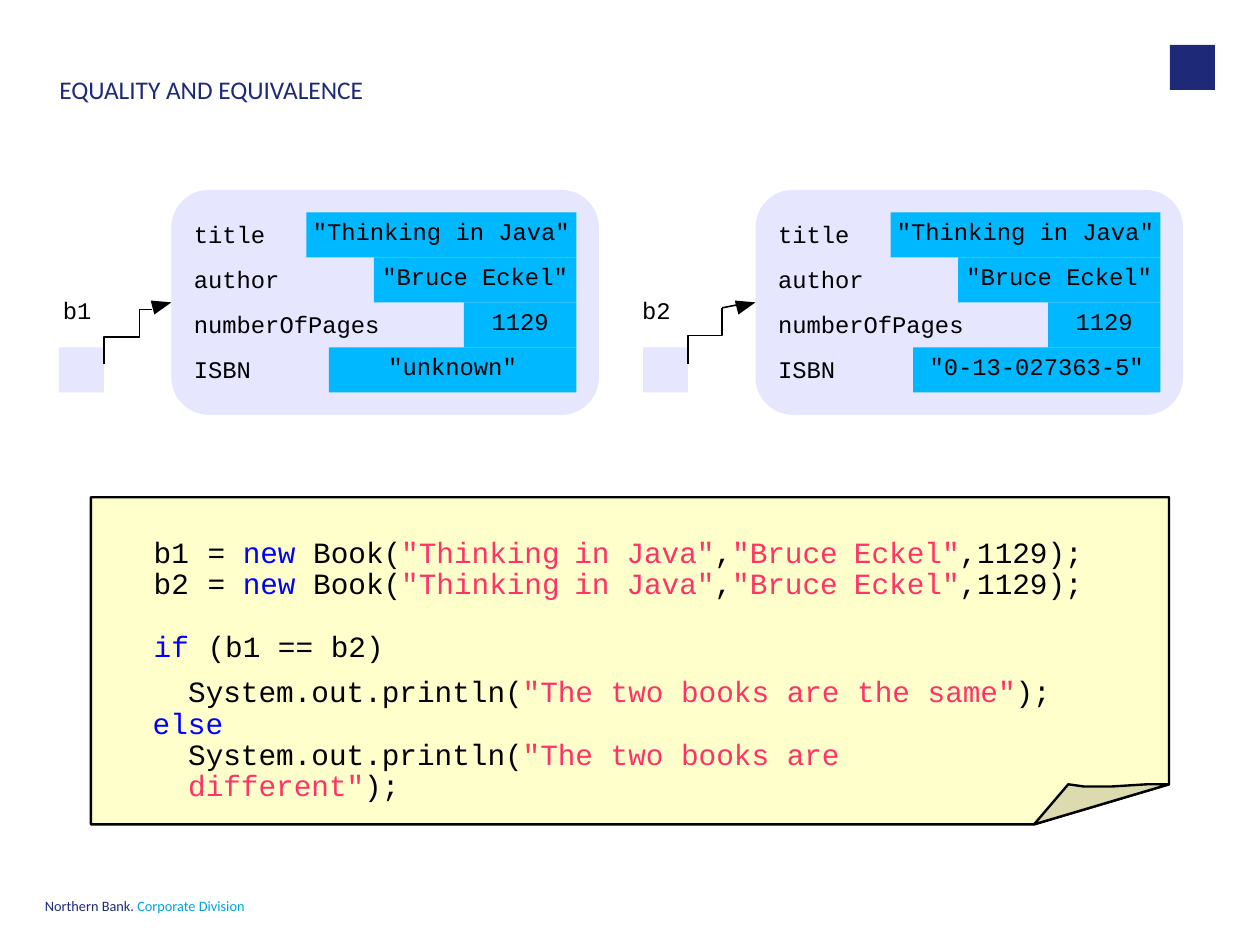
from lxml.etree import SubElement
from pptx import Presentation
from pptx.dml.color import RGBColor
from pptx.enum.shapes import MSO_CONNECTOR as LINK, MSO_SHAPE as SHAPE
from pptx.enum.text import MSO_ANCHOR as ANCHOR, MSO_AUTO_SIZE as FIT, PP_ALIGN as ALIGN
from pptx.oxml import parse_xml
from pptx.oxml.ns import nsdecls, qn
from pptx.util import Cm, Inches, Pt

COLUMNS, ROWS = 28, 21
NAVY, AQUA, LILAC, CYAN = "1E2A78", "00A3E0", "E6E6FF", "00B8FF"
BLACK, BLUE, RED = "000000", "0000FF", "FF3366"
PAPER, FOLD = "FFFFCC", "DBDBAF"
MONO, SANS = "Courier New", "Calibri"


def grid(*counts):
    """Turn counts of grid columns or rows, one centimetre each, into lengths."""
    return [Cm(count) for count in counts]


def color(hex_code):
    return RGBColor.from_string(hex_code)


def style(font, size, name, hex_code):
    font.size, font.name = Pt(size), name
    font.color.rgb = color(hex_code)


def add_spans(para, spans, size, name):
    for text, hex_code in spans:
        span = para.add_run()
        span.text = text
        style(span.font, size, name, hex_code)


def clear_frame(frame, top=0.0, wrap=False):
    frame.margin_left = frame.margin_right = frame.margin_bottom = 0
    frame.margin_top = Inches(top)
    frame.word_wrap, frame.auto_size = wrap, FIT.NONE
    frame.vertical_anchor = ANCHOR.TOP


def paint(shape, fill, line=None):
    shape.shadow.inherit = False
    shape.fill.solid()
    shape.fill.fore_color.rgb = color(fill)
    if line:
        shape.line.color.rgb = color(line)
        shape.line.width = Pt(1.5)
    else:
        shape.line.fill.background()
    return shape


def add_block(page, kind, box, fill):
    return paint(page.shapes.add_shape(kind, *grid(*box)), fill)


def add_outline(page, left, top, points, fill, line=None):
    corners = [grid(left + x, top + y) for x, y in points]
    builder = page.shapes.build_freeform(*corners[0], scale=1.0)
    builder.add_line_segments(corners[1:], close=True)
    return paint(builder.convert_to_shape(), fill, line)


def add_label(page, left, top, text):
    label = page.shapes.add_textbox(*grid(left, top, 4.2, 0.7))
    clear_frame(label.text_frame)
    label.text_frame.text = text
    style(label.text_frame.paragraphs[0].runs[0].font, 15, MONO, BLACK)


def add_link(page, kind, start, end):
    link = page.shapes.add_connector(kind, *grid(*start, *end))
    link.line.color.rgb = color(BLACK)
    link.line.width = Pt(1)
    SubElement(link._element.spPr, qn("a:effectLst"))
    return link


def add_upward_elbow(page, start, end):
    """Join two points with an elbow that leaves and arrives vertically."""
    (x1, y1), (x2, y2) = start, end
    middle_x, middle_y = (x1 + x2) / 2, (y1 + y2) / 2
    half_run, half_rise = (x2 - x1) / 2, (y1 - y2) / 2
    link = add_link(page, LINK.ELBOW,
                    (middle_x + half_rise, middle_y + half_run),
                    (middle_x - half_rise, middle_y - half_run))
    link._element.spPr.xfrm.set("rot", "5400000")


def add_book(page, left, top, name, name_left, isbn, arrow):
    """Draw a book object, its variable and the reference between them."""
    add_block(page, SHAPE.ROUNDED_RECTANGLE, (left, top, 9.5, 5), LILAC)
    fields = [("title", '"Thinking in Java"', 3), ("author", '"Bruce Eckel"', 4.5),
              ("numberOfPages", "1129", 6.5), ("ISBN", isbn, 3.5)]
    for row, (field, value, start) in enumerate(fields):
        y = top + 0.5 + row
        add_label(page, left + 0.5, y + 0.17, field)
        box = add_block(page, SHAPE.RECTANGLE, (left + start, y, 9 - start, 1), CYAN)
        clear_frame(box.text_frame, 0.04)
        box.text_frame.text = value
        para = box.text_frame.paragraphs[0]
        para.alignment = ALIGN.CENTER
        style(para.runs[0].font, 15, MONO, BLACK)
    add_label(page, left + name_left, top + 2.36, name)
    add_block(page, SHAPE.RECTANGLE, (left - 2.5, top + 3.5, 1, 1), LILAC)
    start, joint, end = [(left + x, top + y) for x, y in arrow]
    add_upward_elbow(page, start, joint)
    add_link(page, LINK.STRAIGHT, joint, end)
    add_outline(page, left, top, [(0, 2.5), (-0.46, 2.46), (-0.38, 2.77)], BLACK)


def clear_cell(cell, indent):
    cell.fill.background()
    cell.margin_left = Inches(indent)
    cell.margin_right = cell.margin_top = cell.margin_bottom = 0
    for place, side in enumerate("LRTB"):
        border = parse_xml(f'<a:ln{side} {nsdecls("a")} w="0"><a:noFill/></a:ln{side}>')
        cell._tc.get_or_add_tcPr().insert(place, border)


def add_code_table(page, left, top):
    columns, rows = (1.07, 8.16, 1.17, 5.06, 5.34), (0.69, 2.11)
    indents = (0.03, 0.08, 0, 0, 0.04)
    frame = page.shapes.add_table(len(rows), len(columns),
                                  *grid(left, top, sum(columns), sum(rows)))
    table = frame.table
    table.first_row = table.horz_banding = False
    for column, width in zip(table.columns, grid(*columns)):
        column.width = width
    for row, height in zip(table.rows, grid(*rows)):
        row.height = height
    condition = [[("if", BLUE)], [("(b1 == b2)", BLACK)]]
    for row, name in enumerate(("b1", "b2")):
        call = [[(name, BLACK)],
                [("= ", BLACK), ("new ", BLUE), ("Book(", BLACK), ('"Thinking', RED)],
                [("in", RED)],
                [('Java"', RED), (",", BLACK), ('"Bruce', RED)],
                [('Eckel"', RED), (",1129);", BLACK)]]
        for column, spans in enumerate(call):
            cell = table.cell(row, column)
            clear_cell(cell, indents[column])
            para = cell.text_frame.paragraphs[0]
            para.line_spacing = Pt(18.7)
            para.alignment = ALIGN.CENTER if column > 1 else ALIGN.LEFT
            add_spans(para, spans, 18.5, MONO)
            if row == 1 and column < len(condition):
                para = cell.text_frame.add_paragraph()
                para.line_spacing, para.space_before = Pt(22.1), Pt(17.6)
                add_spans(para, condition[column], 18.5, MONO)


def add_branches(page, left, top):
    box = page.shapes.add_textbox(*grid(left, top, 20.3, 2.8))
    frame = box.text_frame
    clear_frame(frame, 0.05, wrap=True)
    call = ("System.out.println(", BLACK)
    lines = [(0.32, [call, ('"The two books are the same"', RED), (");", BLACK)]),
             (0.01, [("else", BLUE)]),
             (0.32, [call, ('"The two books are different"', RED), (");", BLACK)])]
    for number, (indent, spans) in enumerate(lines):
        para = frame.add_paragraph() if number else frame.paragraphs[0]
        para._p.get_or_add_pPr().set("marL", str(Inches(indent)))
        para.line_spacing = Pt(19.7)
        add_spans(para, spans, 18.5, MONO)


def add_note(page, left, top, width, height):
    """Draw the sheet with its folded corner and the code on it."""
    fold_left, fold_top = width - 3, height - 0.89
    add_outline(page, left, top, [(0, 0), (width, 0), (width, fold_top),
                                  (fold_left, height), (0, height)], PAPER, BLACK)
    add_outline(page, left, top, [
        (width, fold_top), (width - 0.5, fold_top), (width - 1.3, fold_top + 0.05),
        (width - 1.88, fold_top + 0.05), (width - 2.24, fold_top),
        (fold_left, height)], FOLD, BLACK)
    add_code_table(page, left + 1.32, top + 1.01)
    add_branches(page, left + 1.35, top + 3.88)


def add_frame(page):
    """Place the title, the corner mark and the footer."""
    title = page.shapes.title
    title.left, title.top, title.width, title.height = grid(1.32, 1.73, 24.06, 1.55)
    clear_frame(title.text_frame, wrap=True)
    title.text_frame.text = "EQUALITY AND EQUIVALENCE"
    para = title.text_frame.paragraphs[0]
    para.alignment, para.line_spacing = ALIGN.LEFT, 0.9
    style(para.runs[0].font, 16, SANS, NAVY)
    add_block(page, SHAPE.RECTANGLE, (26, 1, 1, 1), NAVY)
    footer = page.shapes.add_textbox(*grid(1, 20, 5.56, 0.5))
    clear_frame(footer.text_frame)
    para = footer.text_frame.paragraphs[0]
    para.line_spacing = Pt(9)
    add_spans(para, [("Northern Bank. ", NAVY), ("Corporate Division", AQUA)], 9, SANS)


def main():
    deck = Presentation()
    deck.slide_width, deck.slide_height = grid(COLUMNS, ROWS)
    page = deck.slides.add_slide(deck.slide_layouts[5])
    add_frame(page)
    add_book(page, 3.81, 4.22, "b1", -2.41, '"unknown"',
             [(-1.5, 3.88), (-0.71, 2.66), (-0.43, 2.66)])
    add_book(page, 16.79, 4.22, "b2", -2.52, '"0-13-027363-5"',
             [(-1.5, 3.86), (-0.74, 2.62), (-0.23, 2.52)])
    add_note(page, 2.02, 11.05, 23.96, 7.27)
    deck.save("out.pptx")


if __name__ == "__main__":
    main()
